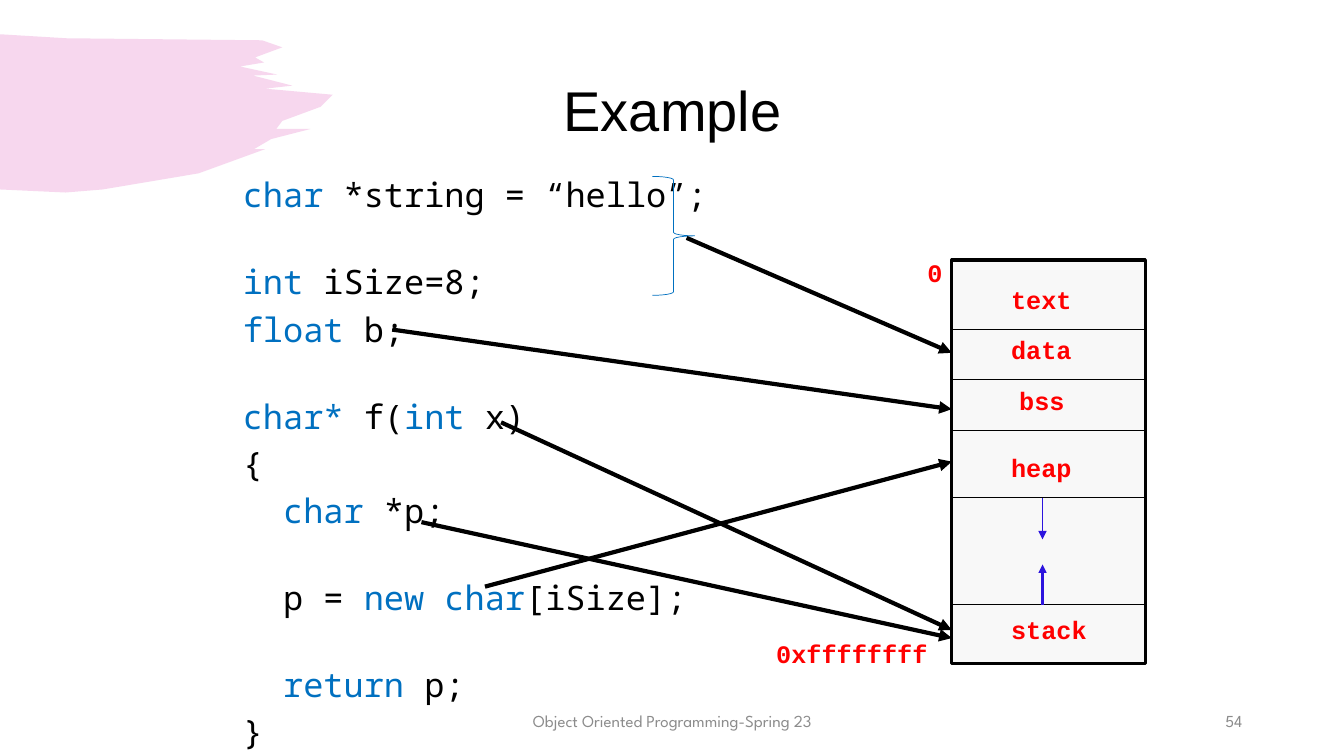
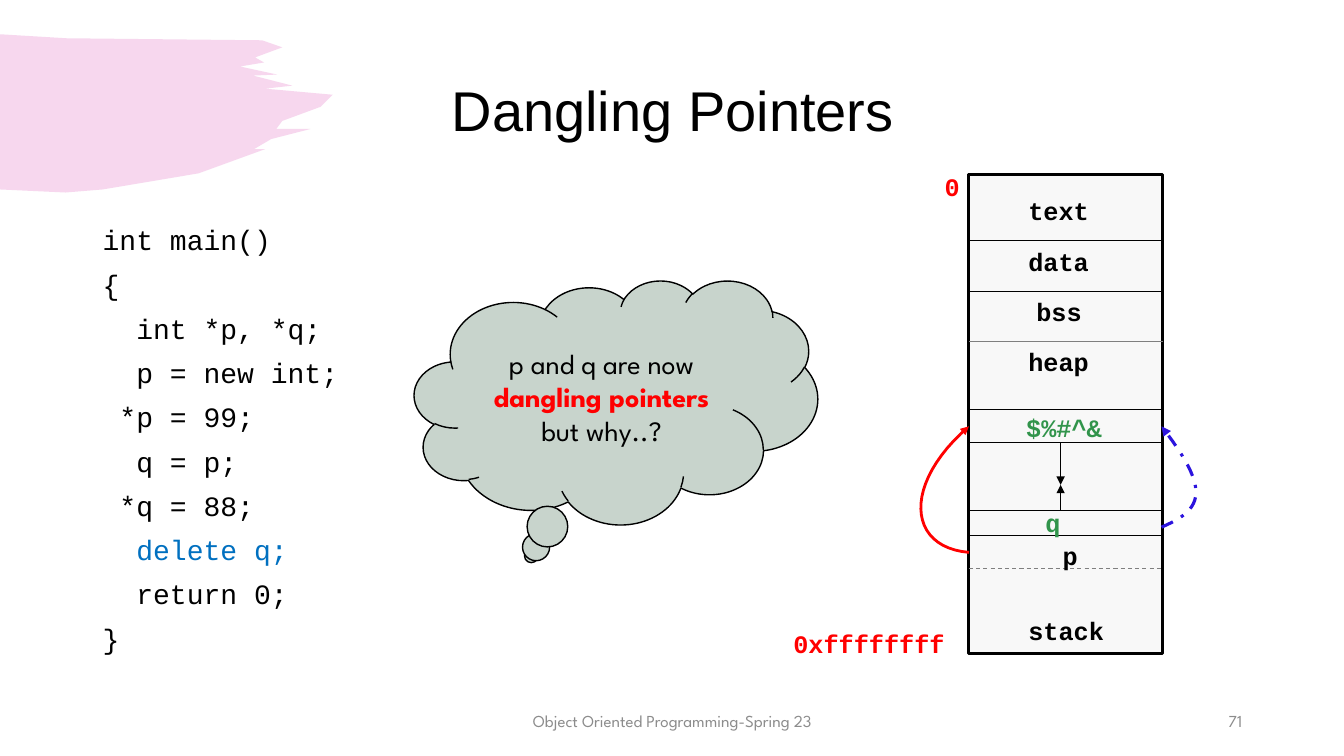
from lxml import etree
from pptx import Presentation
from pptx import util as u
from pptx.dml import color
from pptx.enum import dml, shapes, text
from pptx.oxml import ns

BLACK, RED, BLUE, GREEN = "000000", "FF0000", "0070C0", "31944B"
INDIGO, GRAY, PINK = "2C14DE", "7F7F7F", "D739AE"
PALE, SAGE, FOOT = "F8F8F8", "C8D4CC", "8C8C8C"
SANS, MONO, CODE, BODY = "Arial", "Courier New", "Noto Sans Mono", "League Spartan"
MID, RIGHT = text.PP_ALIGN.CENTER, text.PP_ALIGN.RIGHT
DASH, DOT = dml.MSO_LINE.DASH, dml.MSO_LINE.DASH_DOT
KINDS = shapes.MSO_SHAPE

BRUSH = [(0, 0.34), (0.66, 0.38), (2.6, 0.4), (2.8, 0.47), (2.53, 0.57),
         (2.62, 0.62), (2.38, 0.66), (2.75, 0.74), (2.51, 0.75), (2.9, 0.85),
         (2.63, 0.88), (3.3, 0.94), (3.18, 1.06), (2.8, 1.2), (2.74, 1.28),
         (3.08, 1.28), (2.69, 1.38), (2.52, 1.48), (2.63, 1.48), (1.97, 1.72),
         (1.02, 1.88), (0.65, 1.91), (0, 1.88)]


def rgb(code):
    return color.RGBColor.from_string(code)


def inch(*nums):
    return [u.Inches(n) for n in nums]


def bend(ends, steps=24):
    spots = []
    for k in range(steps + 1):
        t = k / steps
        mix = ((1 - t) ** 3, 3 * t * (1 - t) ** 2, 3 * t * t * (1 - t), t ** 3)
        spots.append([sum(m * e[i] for m, e in zip(mix, ends)) for i in (0, 1)])
    return spots


class Deck:
    def __init__(self):
        self.prs = Presentation()
        self.prs.slide_width, self.prs.slide_height = inch(13.33, 7.5)

    def page(self, title, num):
        self.slide = self.prs.slides.add_slide(self.prs.slide_layouts[5])
        self.items = self.slide.shapes
        brush = self.free(BRUSH, True)
        self.paint(brush, PINK)
        tint = brush.fill._xPr.find(".//" + ns.qn("a:srgbClr"))
        etree.SubElement(tint, ns.qn("a:alpha")).set("val", "20000")
        head = self.items.title
        head.left, head.top, head.width, head.height = inch(0.92, 0.4, 11.5, 1.45)
        frame = head.text_frame
        frame.vertical_anchor = text.MSO_ANCHOR.MIDDLE
        para = frame.paragraphs[0]
        para.alignment, para.line_spacing = MID, 0.9
        self.run(para, title, 40, SANS)
        foot = [(4.42, 4.5, MID, "Object Oriented Programming-Spring 23"),
                (9.42, 3, RIGHT, str(num))]
        for left, width, side, words in foot:
            frame = self.box(left, 6.95, width, 0.4)
            frame.vertical_anchor = text.MSO_ANCHOR.MIDDLE
            frame.paragraphs[0].alignment = side
            self.run(frame.paragraphs[0], words, 12, BODY, FOOT)

    def run(self, para, words, size, face, ink=BLACK, bold=False):
        run = para.add_run()
        run.text = words
        font = run.font
        font.size, font.name, font.bold = u.Pt(size), face, bold
        font.color.rgb = rgb(ink)

    def box(self, *at):
        frame = self.items.add_textbox(*inch(*at)).text_frame
        frame.word_wrap = True
        return frame

    def label(self, left, top, words, ink=BLACK, width=1.25):
        para = self.box(left, top, width, 0.4).paragraphs[0]
        self.run(para, words, 18, MONO, ink, True)

    def code(self, at, rows, size, face, lead=None):
        frame = self.box(*at)
        for i, (gap, row) in enumerate(rows):
            para = frame.add_paragraph() if i else frame.paragraphs[0]
            para.space_before = u.Pt(gap)
            if lead:
                para.line_spacing = lead
            for k, part in enumerate(row.split("|")):
                if part:
                    self.run(para, part, size, face, BLUE if k % 2 else BLACK)

    def paint(self, shape, fill=None):
        shape.shadow.inherit = False
        if fill:
            shape.fill.solid()
            shape.fill.fore_color.rgb = rgb(fill)
        else:
            shape.fill.background()
        shape.line.fill.background()

    def stroke(self, shape, ink, width, dash=None, tip=False):
        line = shape.line
        line.color.rgb, line.width = rgb(ink), u.Pt(width)
        if dash:
            line.dash_style = dash
        if tip:
            tail = etree.SubElement(line._get_or_add_ln(), ns.qn("a:tailEnd"))
            tail.set("type", "triangle")

    def shape(self, kind, at, fill, ink, width):
        shape = self.items.add_shape(kind, *inch(*at))
        self.paint(shape, fill)
        self.stroke(shape, ink, width)
        return shape

    def free(self, spots, close=False):
        spots = [inch(*spot) for spot in spots]
        path = self.items.build_freeform(*spots[0], scale=1.0)
        path.add_line_segments(spots[1:], close=close)
        return path.convert_to_shape()

    def curve(self, ends, ink, width, dash=None):
        shape = self.free(bend(ends))
        self.paint(shape)
        self.stroke(shape, ink, width, dash, True)

    def line(self, a, b, ink=BLACK, width=0.75, dash=None, tip=False):
        line = self.items.add_connector(shapes.MSO_CONNECTOR.STRAIGHT, *inch(*a, *b))
        self.stroke(line, ink, width, dash, tip)
        etree.SubElement(line._element.spPr, ns.qn("a:effectLst"))
        return line

    def rule(self, left, y, ink=BLACK, dash=None):
        self.line((left, y), (left + 1.92, y), ink, dash=dash)

    def stack(self, left, top, height, first, more, heap, base, ink):
        block = self.shape(KINDS.RECTANGLE, (left, top, 1.92, height), PALE, BLACK, 2.25)
        for y in [first, first + 0.5, *more]:
            self.rule(left, y)
        names = {"text": first - 0.5, "data": first, "bss": first + 0.5,
                 "heap": heap, "stack": base}
        for name, y in names.items():
            self.label(left + (0.57 if name == "bss" else 0.49), y, name, ink)
        self.label(left - 1.84, top + height - 0.3, "0xffffffff", RED, 1.8)
        self.label(left - 0.34, top - 0.08, "0", RED, 0.42)
        return block


def example(deck):
    deck.page("Example", 54)
    near, far = 4.8, 33.4
    rows = [
        (0, "|char| *string = “hello”;"),
        (far, "|int |iSize=8;"),
        (near, "|float| b;"),
        (far, "|char* |f(|int| x)"),
        (near, "{"),
        (near, "  |char| *p;"),
        (far, "  p = |new char|[iSize];"),
        (far, "  |return| p;"),
        (near, "}"),
    ]
    deck.code((2.31, 1.68, 9, 5.68), rows, 24, CODE)
    deck.shape(KINDS.RIGHT_BRACE, (6.47, 1.75, 0.42, 1.18), None, BLUE, 0.5)
    side = 9.44
    block = deck.stack(side, 2.58, 4, 3.27, [4.27, 4.94, 6], 4.44, 6.05, RED)
    arrows = [(6.81, 2.36, 3.5), (4.18, 5.18, 6.33), (4.97, 4.19, 6.25), (3.89, 3.27, 4.06)]
    for x, y, end in arrows:
        deck.line((x, y), (side, end), width=3, tip=True)
    heap = deck.line((4.81, 5.82), (side, 4.58), width=3, tip=True)
    heap.end_connect(block, 1)
    for y, end, width in ((4.94, 5.35, 1.25), (6, 5.6, 1.5)):
        deck.line((10.34, y), (10.34, end), INDIGO, width, tip=True)


def dangling(deck):
    deck.page("Dangling Pointers", 71)
    rows = ["int main()", "{", "  int *p, *q;", "  p = new int;", " *p = 99;",
            "  q = p;", " *q = 88;", "  |delete q;", "  return 0;", "}"]
    rows = [(10 if i else 0, row) for i, row in enumerate(rows)]
    deck.code((0.92, 2.2, 11.5, 4.55), rows, 20, MONO, 0.9)
    side = 9.61
    deck.stack(side, 1.73, 4.75, 2.39, [4.06, 4.39, 5.06, 5.31], 3.39, 6.06, BLACK)
    deck.rule(side, 3.39, GRAY)
    deck.rule(side, 5.64, GRAY, DASH)
    deck.label(10.44, 5.31, "p")
    deck.label(10.27, 4.98, "q", GREEN)
    deck.label(10.08, 4.04, "$%#^&", GREEN)
    for y in (4.39, 5.06):
        deck.line((10.52, y), (10.52, 4.81), tip=True)
    deck.curve([(side, 5.48), (9, 5.43), (8.95, 4.8), (side, 4.23)], RED, 2)
    deck.curve([(11.52, 5.23), (11.95, 5.05), (12, 4.85), (11.52, 4.23)], INDIGO, 2.25, DOT)
    cloud = deck.shape(KINDS.CLOUD_CALLOUT, (4.11, 2.78, 4, 2.42), SAGE, BLACK, 1)
    cloud.adjustments[0], cloud.adjustments[1] = -0.21, 0.63
    frame = cloud.text_frame
    frame.word_wrap, frame.vertical_anchor = True, text.MSO_ANCHOR.MIDDLE
    para = frame.paragraphs[0]
    para.alignment = MID
    deck.run(para, "p and q are now ", 20, BODY)
    deck.run(para, "dangling pointers ", 20, BODY, RED, True)
    deck.run(para, "but why..?", 20, BODY)


def main():
    deck = Deck()
    example(deck)
    dangling(deck)
    deck.prs.save("out.pptx")


if __name__ == "__main__":
    main()
